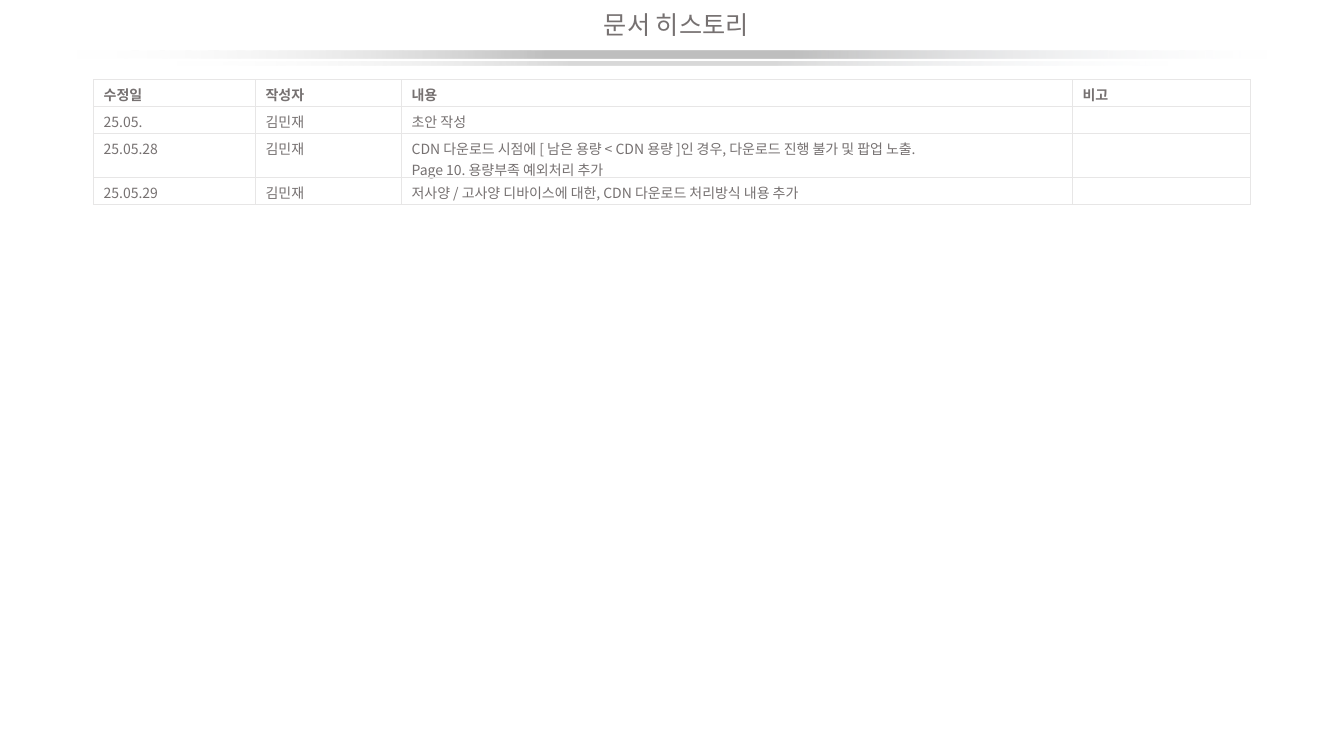
from lxml import etree
from pptx import Presentation
from pptx.dml.color import RGBColor
from pptx.enum.shapes import MSO_SHAPE
from pptx.enum.text import MSO_ANCHOR, PP_ALIGN
from pptx.oxml import parse_xml
from pptx.oxml.ns import nsdecls, qn
from pptx.util import Cm, Pt

RECTANGLE = MSO_SHAPE.RECTANGLE
MIDDLE, TOP = MSO_ANCHOR.MIDDLE, MSO_ANCHOR.TOP
CENTER = PP_ALIGN.CENTER

HISTORY = [
    ["수정일", "작성자", "내용", "비고"],
    ["25.05.", "김민재", "초안 작성", ""],
    ["25.05.28", "김민재",
     "CDN 다운로드 시점에 [ 남은 용량 < CDN 용량 ]인 경우, 다운로드 진행 불가 및 팝업 노출.\v"
     "Page 10. 용량부족 예외처리 추가", ""],
    ["25.05.29", "김민재",
     "저사양 / 고사양 디바이스에 대한, CDN 다운로드 처리방식 내용 추가", ""],
]
COLUMN_WIDTHS = [4.08, 3.68, 16.91, 4.49]
ROW_HEIGHTS = [0.68, 0.68, 1.11, 0.68]


def color(value):
    return RGBColor.from_string(value)


class HistorySlide:
    font = "Noto Sans CJK KR"
    ink = "767171"
    rule = "E7E6E6"

    def __init__(self, presentation):
        self.slide = presentation.slides.add_slide(presentation.slide_layouts[6])

    def style(self, paragraph, size, bold=False):
        for run in paragraph.runs:
            run.font.name = self.font
            run.font.size = Pt(size)
            run.font.bold = bold
            run.font.color.rgb = color(self.ink)
            east_asian = etree.SubElement(run.font._element, qn("a:ea"))
            east_asian.set("typeface", self.font)
        if not paragraph.runs:
            ending = etree.SubElement(paragraph._p, qn("a:endParaRPr"))
            ending.set("sz", str(size * 100))

    def title(self, text, left, top, width, height):
        box = self.slide.shapes.add_textbox(Cm(left), Cm(top), Cm(width), Cm(height))
        frame = box.text_frame
        frame.word_wrap = True
        frame.margin_top = frame.margin_bottom = 0
        frame.vertical_anchor = MIDDLE
        frame.text = text
        frame.paragraphs[0].alignment = CENTER
        self.style(frame.paragraphs[0], 18)

    def bar(self, left, top, width, height, core):
        bar = self.slide.shapes.add_shape(
            RECTANGLE, Cm(left), Cm(top), Cm(width), Cm(height))
        bar.shadow.inherit = False
        bar.line.fill.background()
        stops = [(0, "F6F8FC", 0), (40, core, 100), (60, core, 100), (100, "FFFFFF", 0)]
        stop_xml = "".join(
            f'<a:gs pos="{position * 1000}"><a:srgbClr val="{shade}">'
            f'<a:alpha val="{opacity * 1000}"/></a:srgbClr></a:gs>'
            for position, shade, opacity in stops)
        gradient = parse_xml(
            f'<a:gradFill {nsdecls("a")} rotWithShape="1"><a:gsLst>{stop_xml}</a:gsLst>'
            '<a:lin ang="10800000" scaled="0"/></a:gradFill>')
        bar._element.spPr.find(qn("a:prstGeom")).addnext(gradient)

    def borders(self, cell):
        properties = cell._tc.get_or_add_tcPr()
        for index, side in enumerate(("lnL", "lnR", "lnT", "lnB")):
            properties.insert(index, parse_xml(
                f'<a:{side} {nsdecls("a")} w="12700"><a:solidFill>'
                f'<a:srgbClr val="{self.rule}"/></a:solidFill></a:{side}>'))

    def table(self, rows, left, top, widths, heights):
        table = self.slide.shapes.add_table(
            len(rows), len(widths), Cm(left), Cm(top),
            Cm(sum(widths)), Cm(sum(heights))).table
        table.first_row = table.horz_banding = False
        for column, width in zip(table.columns, widths):
            column.width = Cm(width)
        for row_index, (row, height) in enumerate(zip(rows, heights)):
            table.rows[row_index].height = Cm(height)
            for column_index, text in enumerate(row):
                cell = table.cell(row_index, column_index)
                cell.text_frame.text = text
                cell.margin_bottom = 0
                cell.vertical_anchor = TOP
                cell.fill.background()
                self.borders(cell)
                self.style(cell.text_frame.paragraphs[0], 10, bold=row_index == 0)


def main():
    presentation = Presentation()
    presentation.slide_width = Cm(33.87)
    presentation.slide_height = Cm(19.05)
    history = HistorySlide(presentation)
    history.title("문서 히스토리", 13.26, 0.1, 7.57, 1.02)
    history.bar(1.93, 1.27, 30, 0.2, "BFBFBF")
    history.bar(4.45, 1.55, 25, 0.1, "D9D9D9")
    history.table(HISTORY, 2.36, 2.01, COLUMN_WIDTHS, ROW_HEIGHTS)
    presentation.save("out.pptx")


if __name__ == "__main__":
    main()
